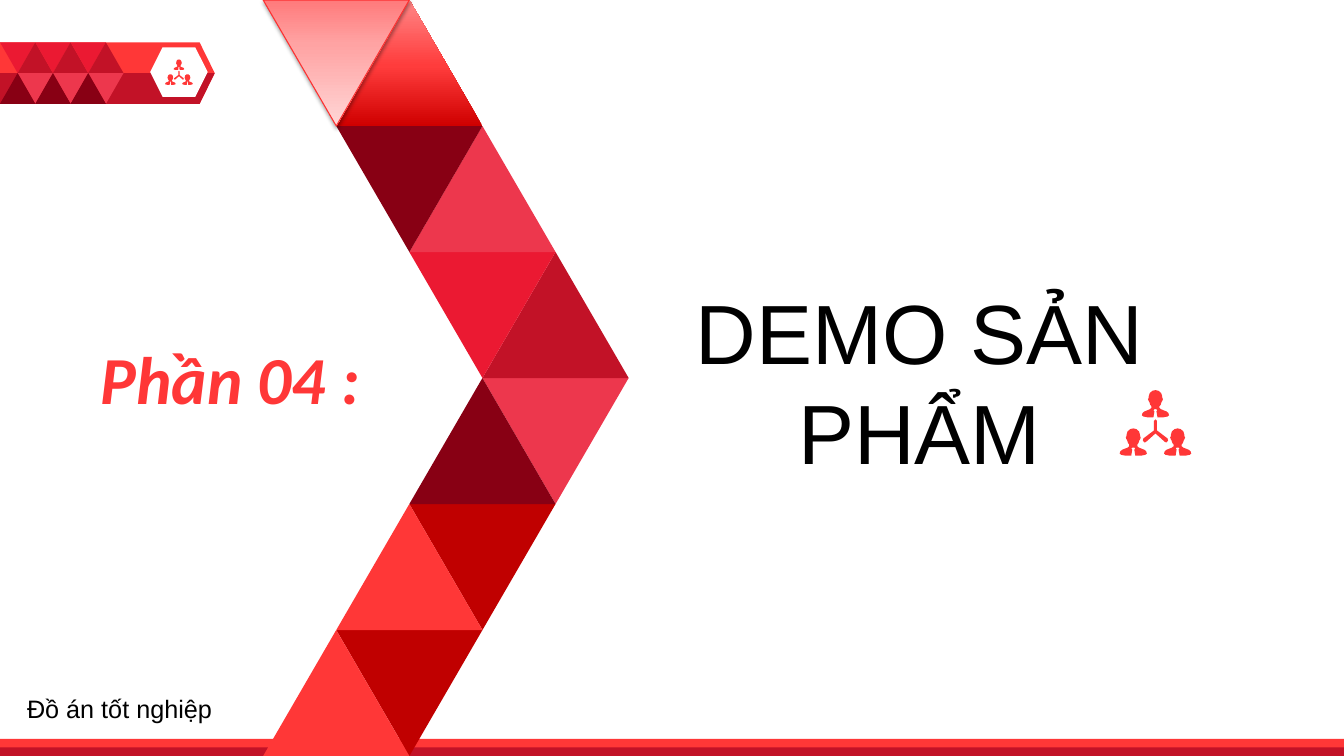
"""Build the section slide with a triangle chevron and a header ribbon."""
import copy

import lxml.etree
import pptx
import pptx.dml.color
import pptx.enum.shapes
import pptx.enum.text
import pptx.oxml.ns
import pptx.util

Inches = pptx.util.Inches
SHAPES = pptx.enum.shapes.MSO_SHAPE
ALIGN = pptx.enum.text.PP_ALIGN

COLOURS = {
    "white": "FFFFFF", "black": "000000", "coral": "FF3737", "crimson": "C21227",
    "scarlet": "EB1932", "rose": "ED374D", "maroon": "880014", "red": "C00000",
    "outline": "FD3030",
}
DEEP_GRADIENT = ((0, "CF0000"), (0.48, "FF3C3C"), (1, "FF8787"))
PALE_GRADIENT = ((0, "FF7A7B"), (0.35, "FFA3A3"), (1, "FFD6D6"))
CHEVRON_ROWS = (
    (None, None), ("maroon", "rose"), ("scarlet", "crimson"),
    ("maroon", "rose"), ("coral", "red"), ("coral", "red"),
)
PERSON_HALF = (
    (0, 0), (3, 0.7), (5.7, 3), (6.6, 6), (6.8, 8), (7.4, 8.8), (7, 10.3),
    (6, 12), (5.2, 14.5), (4, 16), (4, 17.7), (5.5, 19), (8, 20), (11, 21.2),
    (12.8, 22.7), (13.5, 25), (12, 26.2), (8, 27), (2, 27), (1, 21), (2, 20),
    (1, 19),
)
BRANCHES_HALF = (
    (0, 29), (1.5, 30.5), (1.5, 40), (12, 48), (12.5, 50), (11, 52),
    (9.5, 51.5), (0, 43),
)


def rgb(name):
    """Return the colour object for a palette name."""
    return pptx.dml.color.RGBColor.from_string(COLOURS[name])


def paint(shape, colour):
    """Give a shape a flat fill without line or shadow."""
    shape.shadow.inherit = False
    shape.line.fill.background()
    shape.fill.solid()
    shape.fill.fore_color.rgb = rgb(colour)


def add_flat(page, kind, box, colour):
    """Add a flat preset shape at a box given in inches."""
    shape = page.shapes.add_shape(kind, *map(Inches, box))
    paint(shape, colour)
    return shape


def add_triangle(page, box, colour, down):
    """Add a flat triangle that points up or down."""
    triangle = add_flat(page, SHAPES.ISOSCELES_TRIANGLE, box, colour)
    triangle.rotation = 180 if down else 0
    return triangle


def apply_gradient(shape, stops):
    """Fill a shape with an upward gradient of three stops."""
    shape.fill.gradient()
    shape.fill.gradient_angle = 90
    stop_list = shape.element.spPr.find(".//" + pptx.oxml.ns.qn("a:gsLst"))
    stop_list.append(copy.deepcopy(stop_list[0]))
    for stop, (position, colour) in zip(shape.fill.gradient_stops, stops):
        stop.position = position
        stop.color.rgb = pptx.dml.color.RGBColor.from_string(colour)


def add_soft_shadow(shape):
    """Add a faint shadow below a shape."""
    qn = pptx.oxml.ns.qn
    effects = shape.element.spPr.find(qn("a:effectLst"))
    shadow = lxml.etree.SubElement(
        effects, qn("a:outerShdw"), blurRad=str(pptx.util.Pt(3.1)),
        dist=str(pptx.util.Pt(1.6)), dir="5400000", rotWithShape="0")
    colour = lxml.etree.SubElement(shadow, qn("a:srgbClr"), val=COLOURS["black"])
    lxml.etree.SubElement(colour, qn("a:alpha"), val="37000")


def mirrored(half, across, down):
    """Close a half outline by mirroring it, shifted to its place."""
    outline = list(half) + [(-x, y) for x, y in reversed(half)]
    return [((x + across) * 100, (y + down) * 100) for x, y in outline]


def add_team_icon(page, left, top, width):
    """Draw three people joined by branches as one freeform."""
    contours = [mirrored(PERSON_HALF, *spot) for spot in ((35, 0), (13, 38), (57, 38))]
    contours.append(mirrored(BRANCHES_HALF, 35, 0))
    builder = page.shapes.build_freeform(*contours[0][0], scale=Inches(width) / 7000)
    for contour in contours:
        builder.move_to(*contour[0])
        builder.add_line_segments(contour[1:], close=True)
    paint(builder.convert_to_shape(Inches(left), Inches(top)), "coral")


def add_ribbon(page, left, top, width, height):
    """Draw the header ribbon with its triangles and badge."""
    row = height / 2
    side = 0.35
    point = 0.15
    plate = add_flat(page, SHAPES.PENTAGON, (left, top, width, height), "coral")
    plate.adjustments[0] = point / height
    builder = page.shapes.build_freeform(Inches(left), Inches(top + row))
    builder.add_line_segments([
        (Inches(left + width), Inches(top + row)),
        (Inches(left + width - point), Inches(top + height)),
        (Inches(left), Inches(top + height))], close=True)
    paint(builder.convert_to_shape(), "crimson")
    add_flat(page, SHAPES.HEXAGON, (left + 1.49, top + 0.05, 0.57, 0.49), "white")
    add_team_icon(page, left + 1.64, top + 0.17, 0.27)
    for column in range(3):
        start = left + column * side
        middle = start + side / 2
        for across, down, colour, flipped in (
                (start, 0, "scarlet", True), (middle, 0, "crimson", False),
                (middle, row, "rose", True), (start, row, "maroon", False)):
            add_triangle(page, (across, top + down, side, row), colour, flipped)


def add_footer(page, left, top, width, height):
    """Draw the two-tone bar at the bottom."""
    add_flat(page, SHAPES.RECTANGLE, (left, top, width, height), "coral")
    add_flat(page, SHAPES.RECTANGLE,
             (left, top + height / 2, width, height / 2), "crimson")


def add_chevron(page, left, top, side, height):
    """Draw the chevron of paired triangles, from the bottom row up."""
    row_height = height / len(CHEVRON_ROWS)
    last = len(CHEVRON_ROWS) - 1
    for row in range(last, -1, -1):
        first, second = CHEVRON_ROWS[row]
        start = left + side / 2 * min(row, last - row)
        down = row <= last // 2
        level = top + row * row_height
        outer = add_triangle(page, (start + side / 2, level, side, row_height),
                             second or "red", not down)
        inner = add_triangle(page, (start, level, side, row_height),
                             first or "rose", down)
        if first is None:
            apply_gradient(outer, DEEP_GRADIENT)
            apply_gradient(inner, PALE_GRADIENT)
            inner.line.color.rgb = rgb("outline")
            inner.line.width = pptx.util.Pt(0.75)
            add_soft_shadow(inner)


def add_label(page, box, text, size, colour="black", face="Arial",
              align=ALIGN.LEFT, strong=False):
    """Add a wrapped text box with one paragraph."""
    frame = page.shapes.add_textbox(*map(Inches, box)).text_frame
    frame.word_wrap = True
    para = frame.paragraphs[0]
    para.text = text
    para.alignment = align
    para.font.size = pptx.util.Pt(size)
    para.font.name = face
    para.font.bold = para.font.italic = strong
    para.font.color.rgb = rgb(colour)


def main():
    """Build the deck and save it."""
    deck = pptx.Presentation()
    deck.slide_width, deck.slide_height = Inches(13.33), Inches(7.5)
    page = deck.slides.add_slide(deck.slide_layouts[6])
    add_ribbon(page, 0, 0.42, 2.13, 0.61)
    add_footer(page, 0, 7.33, 13.33, 0.17)
    add_chevron(page, 2.61, 0, 1.45, 7.5)
    add_label(page, (0.9, 3.3, 4.12, 0.9), "Phần 04 :", 48, "coral", "Calibri", strong=True)
    add_label(page, (6.42, 2.73, 5.4, 2.12), "DEMO SẢN PHẨM", 60, align=ALIGN.CENTER)
    add_team_icon(page, 11.11, 3.87, 0.7)
    add_label(page, (0.17, 6.83, 2.83, 0.4), "Đồ án tốt nghiệp", 18)
    deck.save("out.pptx")


if __name__ == "__main__":
    main()
